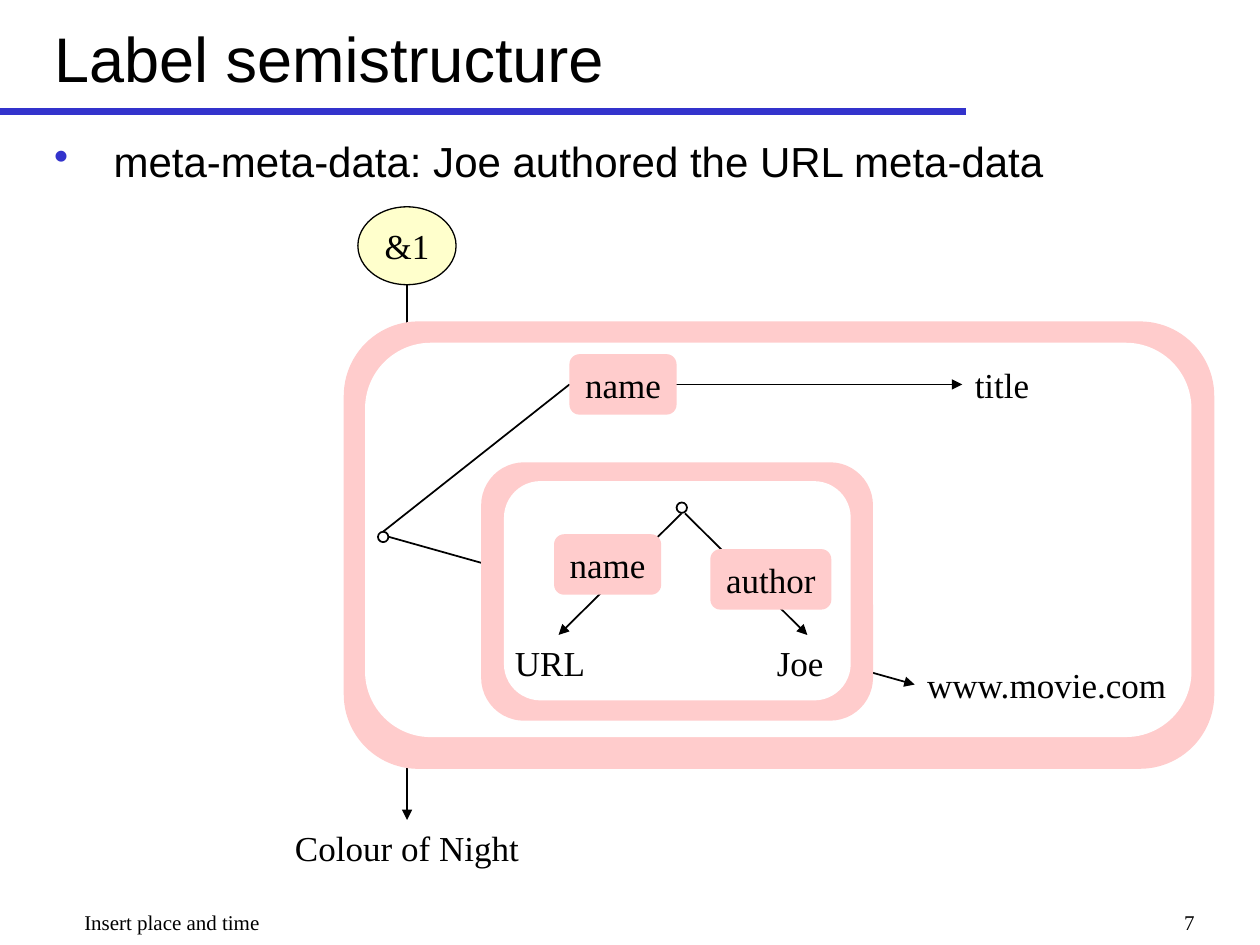
from dataclasses import dataclass

from lxml.etree import SubElement
from pptx import Presentation
from pptx.dml.color import RGBColor
from pptx.enum.shapes import MSO_CONNECTOR, MSO_SHAPE
from pptx.enum.text import MSO_ANCHOR, PP_ALIGN
from pptx.oxml.ns import qn
from pptx.util import Cm, Pt


@dataclass(frozen=True)
class Theme:
    ink: RGBColor = RGBColor(0x00, 0x00, 0x00)
    accent: RGBColor = RGBColor(0x33, 0x33, 0xCC)
    label: RGBColor = RGBColor(0xFF, 0xCC, 0xCC)
    node: RGBColor = RGBColor(0xFF, 0xFF, 0xCC)
    paper: RGBColor = RGBColor(0xFF, 0xFF, 0xFF)
    sans: str = "Arial"
    serif: str = "Times New Roman"
    title_size: int = 36
    body_size: int = 24
    label_size: int = 20
    footer_size: int = 12


@dataclass(frozen=True)
class Box:
    left: float
    top: float
    width: float
    height: float

    def inner(self, left, top, width, height):
        return Box(self.left + left, self.top + top, width, height)

    def point(self, x, y):
        return Cm(self.left + x), Cm(self.top + y)

    def lengths(self):
        return Cm(self.left), Cm(self.top), Cm(self.width), Cm(self.height)


THEME = Theme()
DOT = 0.21


def write(shape, text, *, size=THEME.label_size, font=THEME.serif,
          align=PP_ALIGN.CENTER, wrap=True, bullet_indent=None):
    frame = shape.text_frame
    frame.word_wrap = wrap
    frame.vertical_anchor = MSO_ANCHOR.MIDDLE
    para = frame.paragraphs[0]
    para.alignment = align
    if bullet_indent:
        properties = para._p.get_or_add_pPr()
        properties.set("marL", str(Cm(bullet_indent)))
        properties.set("indent", str(Cm(-bullet_indent)))
        colour = SubElement(properties, qn("a:buClr"))
        SubElement(colour, qn("a:srgbClr"), val=str(THEME.accent))
        SubElement(properties, qn("a:buChar"), char="•")
    span = para.add_run()
    span.text = text
    span.font.size = Pt(size)
    span.font.name = font
    span.font.color.rgb = THEME.ink


def add_text(page, box, text, **text_format):
    shape = page.shapes.add_textbox(*box.lengths())
    write(shape, text, **text_format)
    return shape


def add_shape(page, box, kind, fill=None, line_width=None):
    shape = page.shapes.add_shape(kind, *box.lengths())
    shape.shadow.inherit = False
    if fill is None:
        shape.fill.background()
    else:
        shape.fill.solid()
        shape.fill.fore_color.rgb = fill
    if line_width is None:
        shape.line.fill.background()
    else:
        shape.line.width = Pt(line_width)
        shape.line.color.rgb = THEME.ink
    return shape


def add_line(page, start, end, *, target=None, side=0, arrow=True, width=1, color=THEME.ink):
    line = page.shapes.add_connector(MSO_CONNECTOR.STRAIGHT, *start, *end)
    line.line.width = Pt(width)
    line.line.color.rgb = color
    properties = line._element.spPr
    if arrow:
        SubElement(properties.find(qn("a:ln")), qn("a:tailEnd"), type="triangle")
    SubElement(properties, qn("a:effectLst"))
    if target is not None:
        line.end_connect(target, side)
    return line


def add_dot(page, box, x, y):
    add_shape(page, box.inner(x, y, DOT, DOT), MSO_SHAPE.OVAL, line_width=1)


def add_label(page, box, text):
    shape = add_shape(page, box, MSO_SHAPE.ROUNDED_RECTANGLE, THEME.label)
    write(shape, text, wrap=False)
    return shape


def add_frame(page, box, hollow):
    for area, fill in ((box, THEME.label), (hollow, THEME.paper)):
        add_shape(page, area, MSO_SHAPE.ROUNDED_RECTANGLE, fill)


def add_heading(page, box):
    rule_y = 2.24
    add_line(page, box.point(0, rule_y), box.point(19.48, rule_y),
             arrow=False, width=4, color=THEME.accent)
    add_text(page, box.inner(0.84, 0.1, 18.92, 2.11), "Label semistructure",
             size=THEME.title_size, font=THEME.sans, align=PP_ALIGN.LEFT)
    add_text(page, box.inner(0.84, 2.54, 22.56, 1.42),
             "meta-meta-data: Joe authored the URL meta-data",
             size=THEME.body_size, font=THEME.sans, align=PP_ALIGN.LEFT, bullet_indent=1.2)


def add_root_path(page, box):
    middle = box.width / 2
    value = add_text(page, box.inner(0, box.height - 1.12, box.width, 1.12),
                     "Colour of Night", wrap=False)
    add_line(page, box.point(middle, 1.57), box.point(middle, box.height - 1.12), target=value)
    root = add_shape(page, box.inner(middle - 0.99, 0, 1.98, 1.57),
                     MSO_SHAPE.OVAL, THEME.node, 0.75)
    write(root, "&1", wrap=False)


def add_outer_label(page, box):
    add_frame(page, box, box.inner(0.43, 0.43, 16.66, 7.95))
    title = add_text(page, box.inner(12.47, 0.71, 1.6, 1.12), "title", wrap=False)
    address = add_text(page, box.inner(11.51, 6.76, 5.59, 1.12), "www.movie.com",
                       align=PP_ALIGN.LEFT)
    add_dot(page, box, 0.69, 4.24)
    add_line(page, box.point(0.9, 4.34), box.point(11.51, 7.32), target=address, side=1)
    name_side = box.point(4.55, 1.27)
    branch = add_line(page, box.point(0.79, 4.24), name_side, arrow=False)
    edge = add_line(page, name_side, box.point(12.47, 1.27), target=title, side=1)
    name = add_label(page, box.inner(4.55, 0.66, 2.16, 1.22), "name")
    branch.end_connect(name, 1)
    edge.begin_connect(name, 1)
    add_inner_label(page, box.inner(2.77, 2.84, 7.9, 5.21))


def add_inner_label(page, box):
    add_frame(page, box, box.inner(0.46, 0.38, 6.99, 4.42))
    add_dot(page, box, 3.94, 0.81)
    for text, left, width, start_x in (("URL", 0.43, 2.26, 4.04), ("Joe", 5.71, 1.73, 4.11)):
        value = add_text(page, box.inner(left, 3.48, width, 1.12), text, align=PP_ALIGN.LEFT)
        add_line(page, box.point(start_x, 1.03), box.point(left + width / 2, 3.48), target=value)
    add_label(page, box.inner(4.62, 1.75, 2.44, 1.22), "author")
    add_label(page, box.inner(1.47, 1.45, 2.16, 1.22), "name")


def add_footer(page, box):
    add_text(page, box.inner(0, 0, 10, box.height), "Insert place and time",
             size=THEME.footer_size, align=PP_ALIGN.LEFT)
    add_text(page, box.inner(box.width - 5.28, 0, 5.28, box.height), "7",
             size=THEME.footer_size, align=PP_ALIGN.RIGHT)


def main():
    deck = Presentation()
    deck.slide_width, deck.slide_height = Cm(25.4), Cm(19.05)
    page = deck.slides.add_slide(deck.slide_layouts[6])
    add_heading(page, Box(0, 0, 25.4, 3.96))
    add_root_path(page, Box(5.69, 4.17, 5.03, 13.48))
    add_outer_label(page, Box(6.93, 6.48, 17.55, 9.02))
    add_footer(page, Box(1.45, 18.21, 22.88, 0.74))
    deck.save("out.pptx")


if __name__ == "__main__":
    main()
